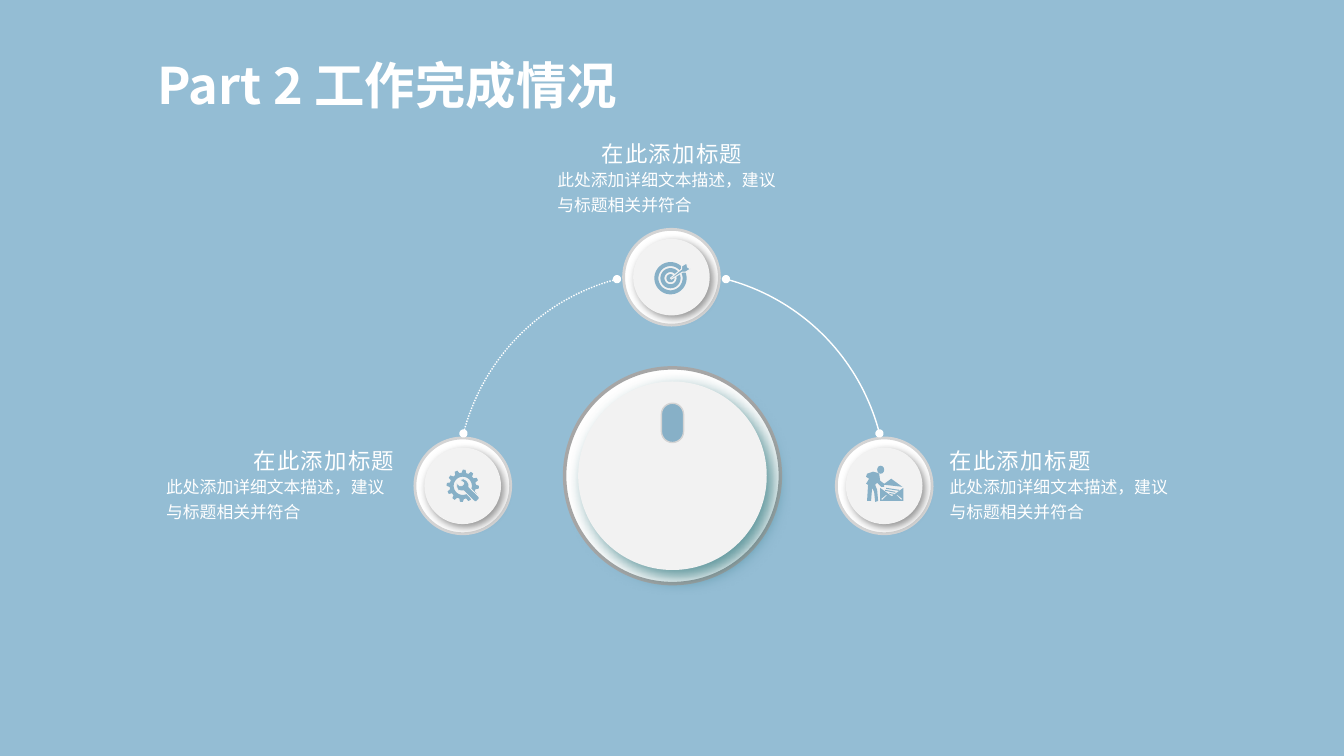
import math
import pptx
import pptx.util
import pptx.dml.color
import pptx.enum.dml
import pptx.enum.shapes
import pptx.enum.text
import pptx.oxml
import pptx.oxml.ns
from lxml import etree

Inches, Pt = pptx.util.Inches, pptx.util.Pt
RGB = pptx.dml.color.RGBColor.from_string
Shape = pptx.enum.shapes.MSO_SHAPE
Align = pptx.enum.text.PP_ALIGN
qn = pptx.oxml.ns.qn
FONT = "Noto Sans CJK SC"
COLORS = {
    "back": "94BDD4", "white": "FFFFFF", "face": "F2F2F2", "icon": "87B0C7",
    "rim": "A6A6A6", "edge": "D4D4D4", "teal": "005962", "shade": "595959",
}

deck = pptx.Presentation()
deck.slide_width, deck.slide_height = Inches(13.33), Inches(7.5)
slide = deck.slides.add_slide(deck.slide_layouts[5])
slide.background.fill.solid()
slide.background.fill.fore_color.rgb = RGB(COLORS["back"])
shapes = slide.shapes


def paint(shape, fill, line=None, width=1):
    shape.shadow.inherit = False
    if fill:
        shape.fill.solid()
        shape.fill.fore_color.rgb = RGB(COLORS[fill])
    else:
        shape.fill.background()
    if line:
        shape.line.color.rgb = RGB(COLORS[line])
        shape.line.width = Pt(width)
    else:
        shape.line.fill.background()
    return shape


def draw(loops, fill="icon", line=None, width=1):
    pen = None
    for loop in loops:
        spots = [(Inches(x), Inches(y)) for x, y in loop]
        if pen:
            pen.move_to(*spots[0])
        else:
            pen = shapes.build_freeform(*spots[0], scale=1.0)
        pen.add_line_segments(spots[1:], close=bool(fill))
    return paint(pen.convert_to_shape(), fill, line, width)


dials = [
    (6.67, 4.72, 2.14, 1.87, Shape.OVAL, "rim", 2.5, "teal", 13, 7),
    (4.59, 4.82, 0.95, 0.76, Shape.ROUNDED_RECTANGLE, "edge", 2, "shade", 6, 3),
    (8.77, 4.82, 0.95, 0.76, Shape.ROUNDED_RECTANGLE, "edge", 2, "shade", 6, 3),
    (6.66, 2.75, 0.95, 0.76, Shape.ROUNDED_RECTANGLE, "edge", 2, "shade", 6, 3),
]
for x, y, outer, inner, kind, rim, width, shade, blur, dist in dials:
    for size, fill, line in [(outer, "white", rim), (inner, "face", None)]:
        disc = shapes.add_shape(kind, Inches(x - size / 2), Inches(y - size / 2),
                                Inches(size), Inches(size))
        if kind == Shape.ROUNDED_RECTANGLE:
            disc.adjustments[0] = 0.5
        paint(disc, fill, line, width)
    glow = etree.SubElement(disc.element.spPr.find(qn("a:effectLst")), qn("a:outerShdw"),
                            blurRad=str(Pt(blur)), dist=str(Pt(dist)), dir="2700000",
                            algn="tl", rotWithShape="0")
    tint = etree.SubElement(glow, qn("a:srgbClr"), val=COLORS[shade])
    etree.SubElement(tint, qn("a:alpha"), val="64000")

for start, end, dotted in [(194.4, 255.3, True), (345.6, 284.7, False)]:
    turns = [math.radians(start + (end - start) * i / 40) for i in range(41)]
    arc = draw([[(6.66 + 2.13 * math.cos(t), 4.83 + 2.13 * math.sin(t)) for t in turns]],
               None, "white")
    if dotted:
        arc.line.dash_style = pptx.enum.dml.MSO_LINE.ROUND_DOT
    for tip in ["a:headEnd", "a:tailEnd"]:
        etree.SubElement(arc.element.spPr.find(qn("a:ln")), qn(tip), type="oval")

pill = shapes.add_shape(Shape.ROUNDED_RECTANGLE, Inches(6.56), Inches(4),
                        Inches(0.22), Inches(0.39))
pill.adjustments[0] = 0.5
paint(pill, "icon", "edge")

turns = [math.radians(5 * i) for i in range(72)]
draw([[(6.65 + r * math.cos(t), 2.76 + r * math.sin(t)) for t in turns]
      for r in [0.16, 0.12, 0.1, 0.06, 0.04]])
draw([[(6.65, 2.76), (6.76, 2.67), (6.76, 2.64), (6.81, 2.61), (6.82, 2.65),
       (6.85, 2.67), (6.8, 2.7), (6.77, 2.7), (6.66, 2.77)]], "icon", "face", 0.75)

teeth = [(0.16 if i % 6 < 3 else 0.13, t) for i, t in enumerate(turns)]
draw([[(4.59 + r * math.cos(t), 4.82 + r * math.sin(t)) for r, t in teeth],
      [(4.59 + 0.09 * math.cos(t), 4.82 + 0.09 * math.sin(t)) for t in turns]])
draw([[(4.56, 4.76), (4.6, 4.79), (4.6, 4.8), (4.58, 4.82), (4.56, 4.82), (4.53, 4.79),
       (4.53, 4.83), (4.54, 4.86), (4.57, 4.87), (4.6, 4.87), (4.7, 4.97), (4.72, 4.98),
       (4.75, 4.95), (4.75, 4.93), (4.65, 4.83), (4.65, 4.8), (4.63, 4.77), (4.6, 4.75)]],
     "icon", "face", 0.5)

head = shapes.add_shape(Shape.OVAL, Inches(8.7), Inches(4.62), Inches(0.07), Inches(0.08))
paint(head, "icon")
draw([[(8.6, 4.7), (8.66, 4.68), (8.7, 4.69), (8.72, 4.7), (8.73, 4.77), (8.77, 4.8),
       (8.84, 4.75), (8.95, 4.83), (8.77, 4.81), (8.77, 4.83), (8.74, 4.83), (8.7, 4.79),
       (8.68, 4.81), (8.7, 4.86), (8.71, 4.97), (8.68, 4.98), (8.67, 4.88), (8.65, 4.84),
       (8.64, 4.97), (8.6, 4.97), (8.61, 4.81), (8.59, 4.8), (8.62, 4.75), (8.59, 4.73)]])
draw([[(8.73, 4.84), (8.84, 4.92), (8.85, 4.92), (8.96, 4.84), (8.96, 4.97), (8.73, 4.97)],
      [(8.89, 4.91), (8.94, 4.96), (8.95, 4.95), (8.9, 4.91)],
      [(8.8, 4.91), (8.75, 4.96), (8.74, 4.95), (8.79, 4.91)]])
for x, y, w, h in [(8.79, 4.84, 0.13, 0.03), (8.78, 4.86, 0.1, 0.03), (8.82, 4.89, 0.05, 0.02)]:
    draw([[(x, y), (x + w, y + h - 0.01), (x + w, y + h), (x, y + 0.01)]])

texts = [(shapes.title, 1.46, 0.49, 4.89, 0.71, "Part 2 工作完成情况", 36, Align.LEFT)]
for x, left, top, align in [(5.43, 5.38, 1.34, Align.CENTER), (9.32, 9.32, 4.39, Align.LEFT),
                            (1.55, 1.44, 4.39, Align.RIGHT)]:
    texts += [(None, x, top + 0.24, 2.46, 0.61,
               "此处添加详细文本描述，建议与标题相关并符合", 12, Align.LEFT),
              (None, left, top, 2.57, 0.37, "在此添加标题", 16, align)]
for box, x, y, w, h, words, size, align in texts:
    spot = Inches(x), Inches(y), Inches(w), Inches(h)
    box = box or shapes.add_textbox(*spot)
    box.left, box.top, box.width, box.height = spot
    frame = box.text_frame
    frame.text = words
    frame.word_wrap = size != 36
    frame.auto_size = pptx.enum.text.MSO_AUTO_SIZE.NONE
    frame.vertical_anchor = pptx.enum.text.MSO_ANCHOR.TOP
    para = frame.paragraphs[0]
    para.alignment = align
    para.font.name, para.font.size, para.font.bold = FONT, Pt(size), size == 36
    para.font.color.rgb = RGB(COLORS["white"])
    props = para._p.pPr.find(qn("a:defRPr"))
    etree.SubElement(props, qn("a:ea"), typeface=FONT)
    if size == 12:
        para.line_spacing = 1.25
    if size == 16:
        props.set("spc", "100")

deck.save("out.pptx")
